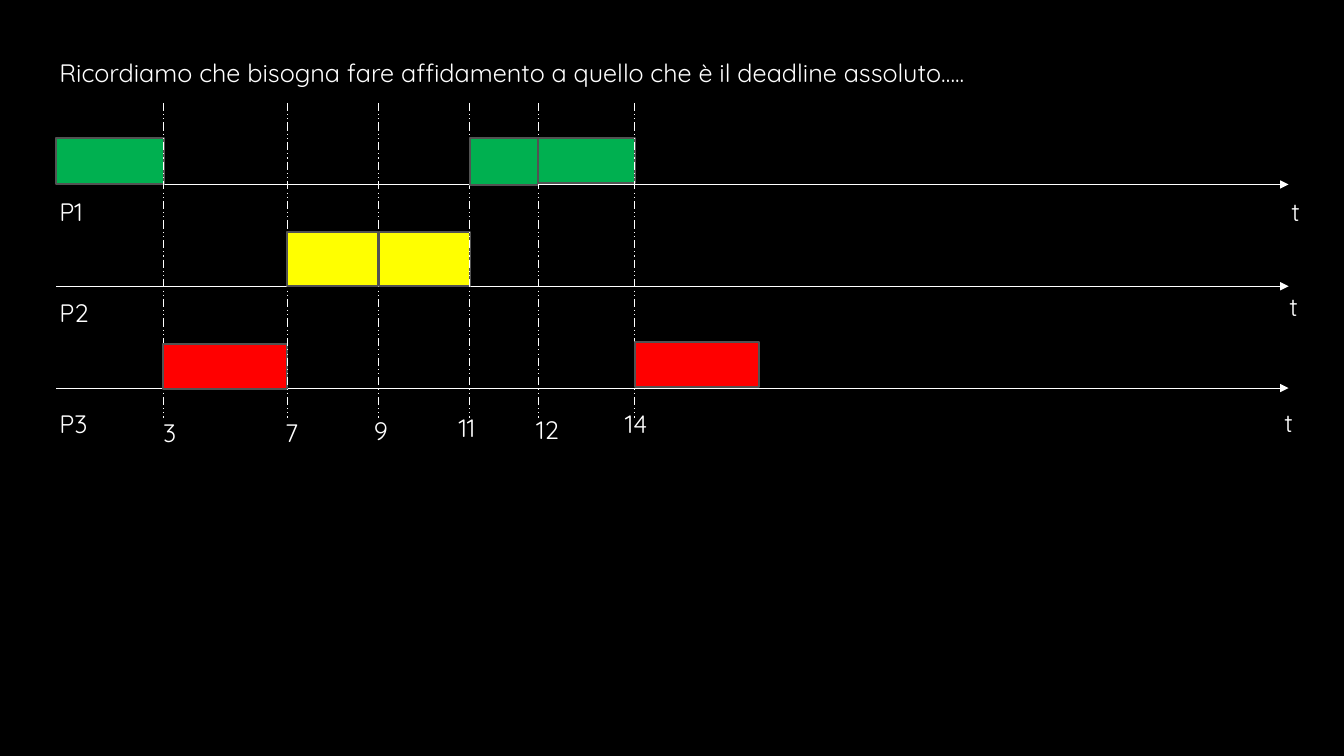
import pptx
import pptx.util
import pptx.dml.color
import pptx.enum.dml
import pptx.enum.shapes
import pptx.enum.text
import pptx.oxml.ns
import lxml.etree

Inches = pptx.util.Inches
RGBColor = pptx.dml.color.RGBColor

BLACK = RGBColor(0x00, 0x00, 0x00)
WHITE = RGBColor(0xFF, 0xFF, 0xFF)
GRAY = RGBColor(0x52, 0x52, 0x52)
GREEN = RGBColor(0x00, 0xB0, 0x50)
YELLOW = RGBColor(0xFF, 0xFF, 0x00)
RED = RGBColor(0xFF, 0x00, 0x00)

AXIS_START, AXIS_END = 0.56, 12.78
MARKER_TOP, MARKER_BOTTOM = 1.02, 4.15
LABEL_HEIGHT = 0.4


class ScheduleSlide:
    font_name = "Quicksand"
    font_size = pptx.util.Pt(18)

    def __init__(self, presentation):
        self.slide = presentation.slides.add_slide(presentation.slide_layouts[6])
        background = self.slide.background.fill
        background.solid()
        background.fore_color.rgb = BLACK

    def text(self, wording, left, top, width):
        box = self.slide.shapes.add_textbox(
            Inches(left), Inches(top), Inches(width), Inches(LABEL_HEIGHT))
        frame = box.text_frame
        frame.word_wrap = True
        frame.auto_size = pptx.enum.text.MSO_AUTO_SIZE.SHAPE_TO_FIT_TEXT
        run = frame.paragraphs[0].add_run()
        run.text = wording
        run.font.name = self.font_name
        run.font.size = self.font_size
        run.font.color.rgb = WHITE

    def line(self, x1, y1, x2, y2):
        connector = self.slide.shapes.add_connector(
            pptx.enum.shapes.MSO_CONNECTOR.STRAIGHT,
            Inches(x1), Inches(y1), Inches(x2), Inches(y2))
        connector.line.color.rgb = WHITE
        connector.line.width = pptx.util.Pt(0.75)
        lxml.etree.SubElement(
            connector._element.spPr, pptx.oxml.ns.qn("a:effectLst"))
        return connector.line

    def axis(self, y):
        line = self.line(AXIS_START, y, AXIS_END, y)
        lxml.etree.SubElement(
            line._get_or_add_ln(), pptx.oxml.ns.qn("a:tailEnd"), type="triangle")

    def marker(self, x):
        line = self.line(x, MARKER_TOP, x, MARKER_BOTTOM)
        line.dash_style = pptx.enum.dml.MSO_LINE.DASH_DOT_DOT

    def block(self, color, left, top, width, height):
        rectangle = self.slide.shapes.add_shape(
            pptx.enum.shapes.MSO_SHAPE.RECTANGLE,
            Inches(left), Inches(top), Inches(width), Inches(height))
        rectangle.shadow.inherit = False
        rectangle.fill.solid()
        rectangle.fill.fore_color.rgb = color
        rectangle.line.color.rgb = GRAY
        rectangle.line.width = pptx.util.Pt(1.5)


def main():
    presentation = pptx.Presentation()
    presentation.slide_width = Inches(13.33)
    presentation.slide_height = Inches(7.5)
    schedule = ScheduleSlide(presentation)

    schedule.text(
        "Ricordiamo che bisogna fare affidamento a quello che è il deadline assoluto…..",
        0.49, 0.52, 11.5)

    processes = [
        ("P1", 1.83, 1.9, 12.71, 1.9),
        ("P2", 2.84, 2.9, 12.69, 2.84),
        ("P3", 3.85, 4, 12.64, 3.99),
    ]
    for process, axis_y, process_top, time_left, time_top in processes:
        schedule.axis(axis_y)
        schedule.text(process, 0.49, process_top, 0.8)
        schedule.text("t", time_left, time_top, 0.49)

    executions = [
        (GREEN, 0.56, 1.37, 1.07, 0.46),
        (RED, 1.62, 3.41, 1.23, 0.45),
        (YELLOW, 2.85, 2.3, 0.9, 0.54),
        (YELLOW, 3.76, 2.3, 0.9, 0.54),
        (GREEN, 4.66, 1.37, 0.68, 0.47),
        (GREEN, 5.34, 1.37, 0.96, 0.45),
    ]
    instants = [
        ("3", 1.62, 1.52, 4.09, 0.58),
        ("7", 2.85, 2.73, 4.09, 0.88),
        ("9", 3.75, 3.61, 4.07, 0.95),
        ("11", 4.66, 4.45, 4.04, 0.61),
        ("12", 5.34, 5.22, 4.06, 0.61),
        ("14", 6.29, 6.1, 4, 1.05),
    ]
    for execution, (instant, x, left, top, width) in zip(executions, instants):
        schedule.block(*execution)
        schedule.marker(x)
        schedule.text(instant, left, top, width)
    schedule.block(RED, 6.3, 3.39, 1.23, 0.45)

    presentation.save("out.pptx")


if __name__ == "__main__":
    main()
